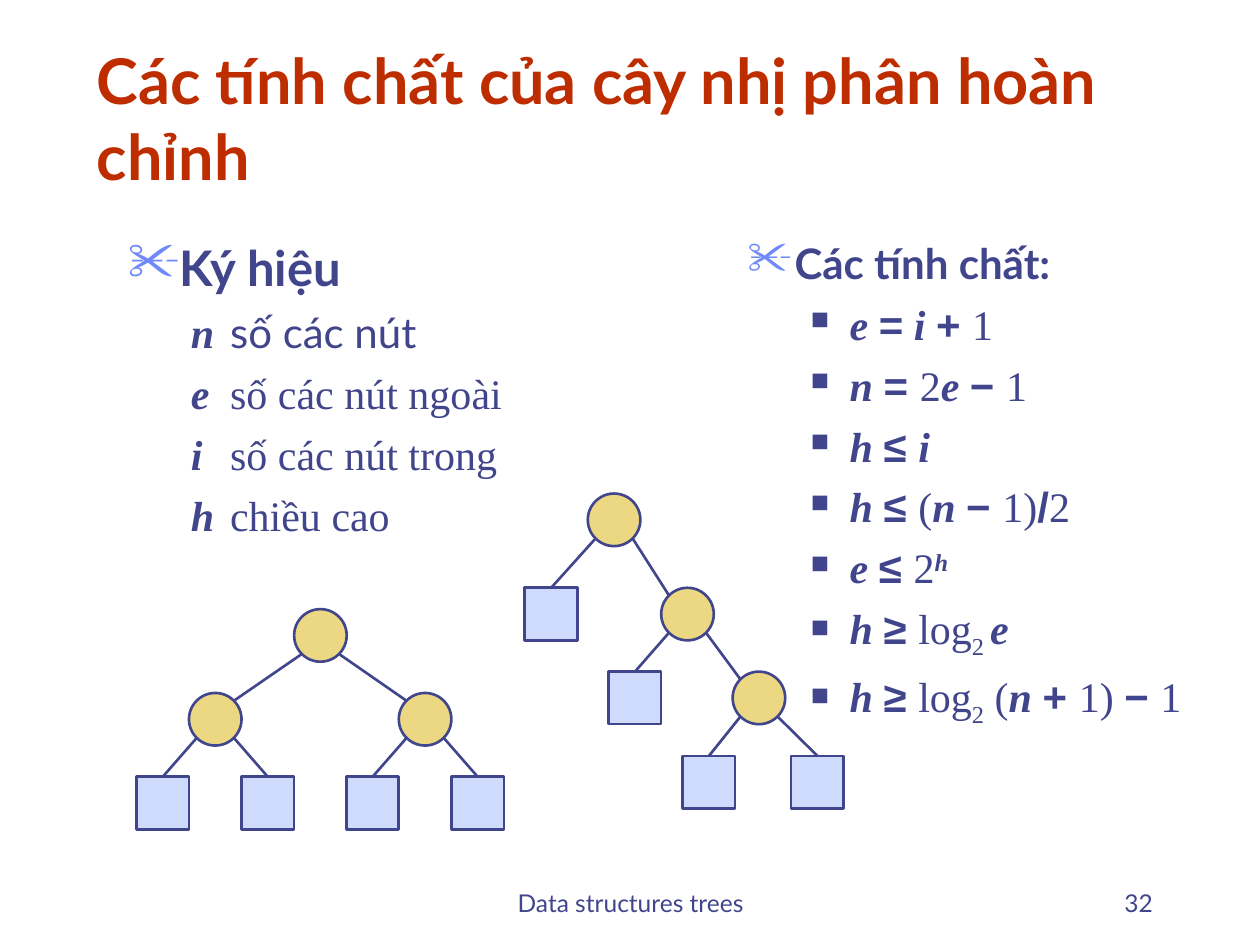
import pptx
import pptx.util
import pptx.dml.color
import pptx.enum.shapes
import pptx.enum.text
import pptx.oxml
import pptx.oxml.ns
from pptx.util import Cm

NAVY = pptx.dml.color.RGBColor(0x40, 0x45, 0x8C)
RED = pptx.dml.color.RGBColor(0xBE, 0x2D, 0x00)
BLUE = pptx.dml.color.RGBColor(0x6F, 0x89, 0xF7)
GOLD = pptx.dml.color.RGBColor(0xEC, 0xD8, 0x82)
PALE = pptx.dml.color.RGBColor(0xCF, 0xDB, 0xFD)
ALIGN = pptx.enum.text.PP_ALIGN
ANCHOR = pptx.enum.text.MSO_ANCHOR
SHAPE = pptx.enum.shapes.MSO_SHAPE
NS = pptx.oxml.ns.nsdecls("a")

STYLES = {
    "var": ("Times New Roman", True, True, 0),
    "op": ("Arial", True, False, 0),
    "num": ("Times New Roman", False, False, 0),
    "sub": ("Times New Roman", False, False, -25000),
    "sup": ("Times New Roman", True, True, 30000),
    "plain": ("Lato", False, False, 0),
    "head": ("Lato", True, False, 0),
}

prs = pptx.Presentation()
prs.slide_width, prs.slide_height = Cm(25.4), Cm(19.05)
s = prs.slides.add_slide(prs.slide_layouts[6])


def add_box(x, y, w, h, anchor):
    tf = s.shapes.add_textbox(Cm(x), Cm(y), Cm(w), Cm(h)).text_frame
    tf.word_wrap = True
    tf.vertical_anchor = anchor
    return tf


def fill_paragraph(p, runs, size, color=NAVY, before=0, indent=None, bullet=None):
    p.space_before = pptx.util.Pt(before)
    pPr = p._p.get_or_add_pPr()
    if indent:
        pPr.set("marL", str(Cm(indent[0])))
        pPr.set("indent", str(Cm(indent[1])))
    if bullet:
        char, bullet_color, percent = bullet
        for xml in (
            f'<a:buClr {NS}><a:srgbClr val="{bullet_color}"/></a:buClr>',
            f'<a:buSzPct {NS} val="{percent * 1000}"/>',
            f'<a:buChar {NS} char="{char}"/>',
        ):
            pPr.append(pptx.oxml.parse_xml(xml))
    for text, style in runs:
        r = p.add_run()
        r.text = text
        r.font.name, r.font.bold, r.font.italic, baseline = STYLES[style]
        r.font.size = pptx.util.Pt(size)
        r.font.color.rgb = color
        if baseline:
            r._r.get_or_add_rPr().set("baseline", str(baseline))


for x, w, align, text in [
    (8.69, 8.05, ALIGN.CENTER, "Data structures trees"),
    (18.21, 5.28, ALIGN.RIGHT, "32"),
]:
    p = add_box(x, 17.35, w, 1.27, ANCHOR.BOTTOM).paragraphs[0]
    p.alignment = align
    fill_paragraph(p, [(text, "plain")], 14)

tf = add_box(1.7, 0.84, 21.59, 3.18, ANCHOR.BOTTOM)
title = "Các tính chất của cây nhị phân hoàn chỉnh"
fill_paragraph(tf.paragraphs[0], [(title, "head")], 36, RED)

HEAD_INDENT, ITEM_INDENT = (0.95, -0.95), (2.06, -0.79)
SCISSORS, SQUARE = ("✂", BLUE, 110), ("■", NAVY, 60)

notation = [
    [("n\t", "var"), ("số các nút", "plain")],
    [("e\t", "var"), ("số các nút ngoài", "num")],
    [("i\t", "var"), ("số các nút trong", "num")],
    [("h\t", "var"), ("chiều cao", "num")],
]
properties = [
    [("e ", "var"), ("=", "op"), (" i ", "var"), ("+ ", "op"), ("1", "num")],
    [("n ", "var"), ("= ", "op"), ("2", "num"), ("e ", "var"), ("− ", "op"), ("1", "num")],
    [("h ", "var"), ("≤ ", "op"), ("i", "var")],
    [("h ", "var"), ("≤ ", "op"), ("(", "num"), ("n ", "var"), ("− ", "op"),
     ("1)", "num"), ("/", "op"), ("2", "num")],
    [("e ", "var"), ("≤ ", "op"), ("2", "num"), ("h", "sup")],
    [("h ", "var"), ("≥ ", "op"), ("log", "num"), ("2 ", "sub"), ("e", "var")],
    [("h ", "var"), ("≥ ", "op"), ("log", "num"), ("2", "sub"), (" (", "num"),
     ("n ", "var"), ("+ ", "op"), ("1) ", "num"), ("− ", "op"), ("1", "num")],
]
for x, w, h, heading, size, before, items, bullet in [
    (2.33, 8.47, 7.2, "Ký hiệu", 28, 7, notation, None),
    (14.82, 9.53, 10.16, "Các tính chất:", 24, 6, properties, SQUARE),
]:
    tf = add_box(x, 4.66, w, h, ANCHOR.TOP)
    fill_paragraph(tf.paragraphs[0], [(heading, "head")], size, NAVY, before, HEAD_INDENT, SCISSORS)
    for runs in items:
        p = tf.add_paragraph()
        p.level = 1
        fill_paragraph(p, runs, 24, NAVY, 6, ITEM_INDENT, bullet)

NODE = 1.06
DIAGONAL = 0.37
balanced_tree = [
    (6.46, 12.81, "inner", None),
    (4.34, 14.5, "inner", 0),
    (8.57, 14.5, "inner", 0),
    (3.28, 16.19, "leaf", 1),
    (5.4, 16.19, "leaf", 1),
    (7.51, 16.19, "leaf", 2),
    (9.63, 16.19, "leaf", 2),
]
skewed_tree = [
    (12.38, 10.48, "inner", None),
    (11.11, 12.38, "leaf", 0),
    (13.86, 12.38, "inner", 0),
    (12.8, 14.07, "leaf", 2),
    (15.3, 14.07, "inner", 2),
    (14.29, 15.77, "leaf", 4),
    (16.48, 15.77, "leaf", 4),
]
KINDS = {"inner": (SHAPE.OVAL, GOLD), "leaf": (SHAPE.RECTANGLE, PALE)}

for tree, shapes in [
    (balanced_tree, s.shapes),
    (skewed_tree, s.shapes.add_group_shape().shapes),
]:
    for x, y, kind, parent in tree:
        preset, color = KINDS[kind]
        sp = shapes.add_shape(preset, Cm(x - NODE / 2), Cm(y - NODE / 2), Cm(NODE), Cm(NODE))
        sp.shadow.inherit = False
        sp.fill.solid()
        sp.fill.fore_color.rgb = color
        sp.line.color.rgb = NAVY
        sp.line.width = pptx.util.Pt(1.5)
        if parent is None:
            continue
        px, py = tree[parent][:2]
        side = DIAGONAL if x > px else -DIAGONAL
        edge = shapes.add_connector(
            pptx.enum.shapes.MSO_CONNECTOR.STRAIGHT,
            Cm(px + side), Cm(py + DIAGONAL), Cm(x - side), Cm(y - DIAGONAL))
        if kind == "leaf":
            edge.end_connect(sp, 0)
        edge.line.color.rgb = NAVY
        edge.line.width = pptx.util.Pt(1.5)
        edge._element.spPr.append(pptx.oxml.parse_xml(f"<a:effectLst {NS}/>"))

prs.save("out.pptx")
